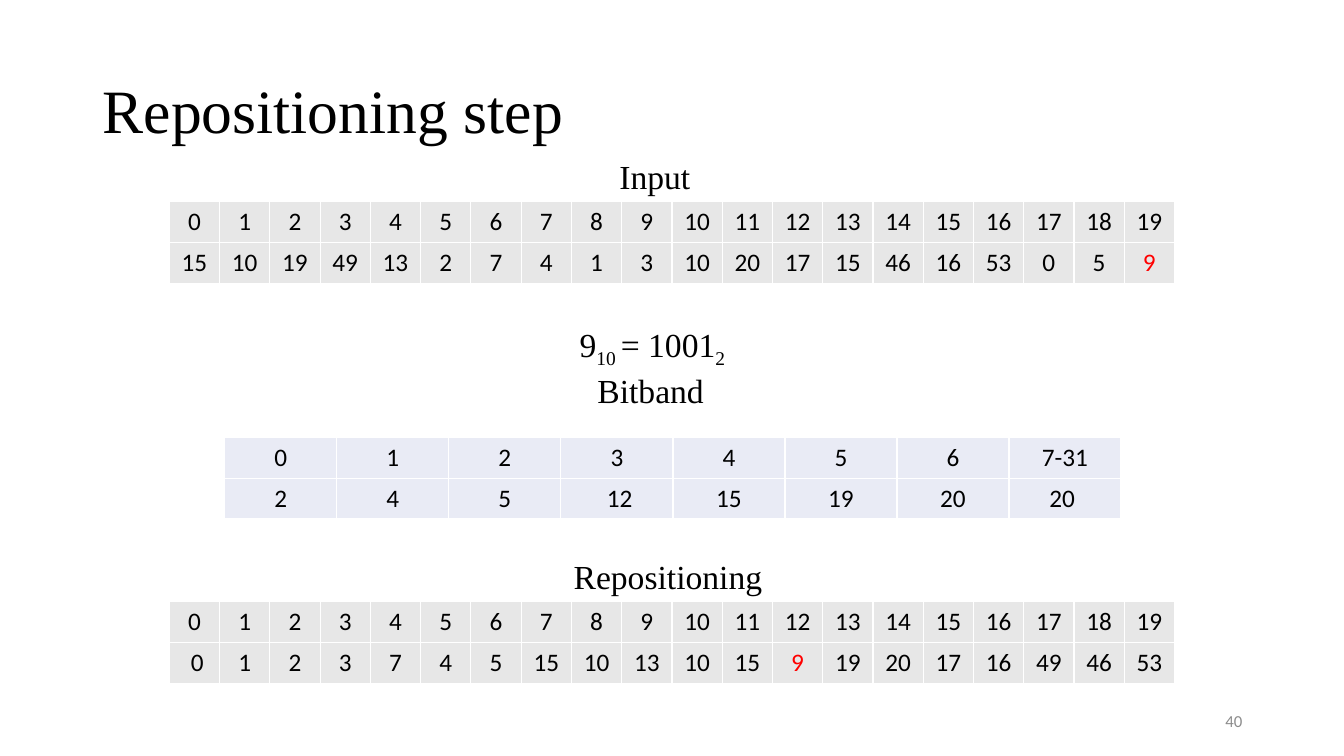
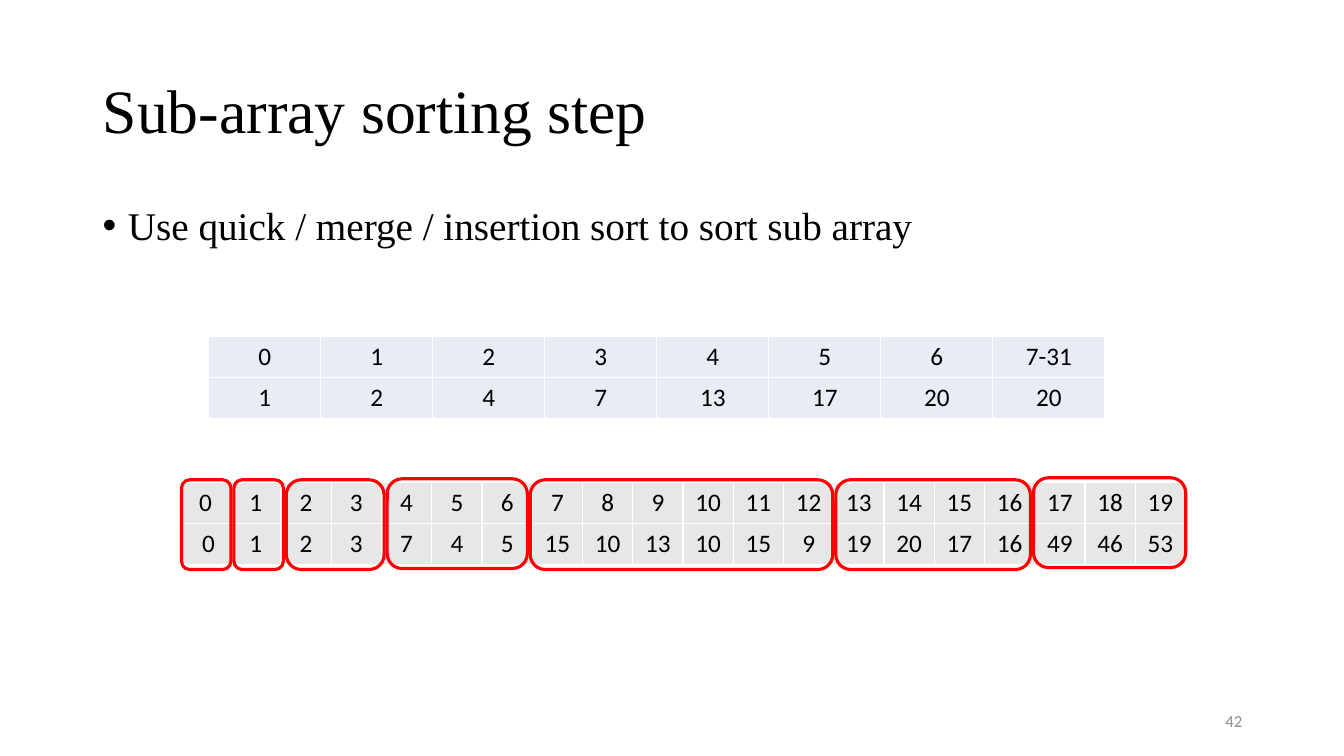
from lxml import etree
from pptx import Presentation
from pptx import util as u
from pptx.dml.color import RGBColor
from pptx.enum import shapes, text
from pptx.oxml import ns

COLORS = {
    "text": "000000",
    "accent": "FF0000",
    "array": "E7E7E7",
    "bitband": "E9EBF5",
    "border": "FFFFFF",
    "number": "8C8C8C",
}
SERIF, SANS = "Times New Roman", "Calibri"
LEFT, CENTER, RIGHT = text.PP_ALIGN.LEFT, text.PP_ALIGN.CENTER, text.PP_ALIGN.RIGHT
MIDDLE = text.MSO_ANCHOR.MIDDLE

INDEXES = list(range(20))
INPUT = [15, 10, 19, 49, 13, 2, 7, 4, 1, 3, 10, 20, 17, 15, 46, 16, 53, 0, 5, 9]
REPOSITIONED = [" 0", 1, 2, 3, 7, 4, 5, 15, 10, 13, 10, 15, 9, 19, 20, 17, 16, 49, 46, 53]
BANDS = [0, 1, 2, 3, 4, 5, 6, "7-31"]


def color(name):
    return RGBColor.from_string(COLORS[name])


def apply(target, values):
    for name, value in values.items():
        setattr(target, name, value)


class Deck:
    def __init__(self):
        self.prs = Presentation()
        apply(self.prs, {"slide_width": u.Inches(13.33), "slide_height": u.Inches(7.5)})
        self.s = None

    def slide(self, title, number):
        self.s = self.prs.slides.add_slide(self.prs.slide_layouts[5])
        sp = self.s.shapes.title
        apply(sp, {"left": u.Inches(0.92), "top": u.Inches(0.4),
                   "width": u.Inches(11.5), "height": u.Inches(1.45)})
        tf = sp.text_frame
        apply(tf, {"vertical_anchor": MIDDLE, "word_wrap": True,
                   "auto_size": text.MSO_AUTO_SIZE.NONE})
        p = tf.paragraphs[0]
        apply(p, {"alignment": LEFT, "line_spacing": 0.9})
        self.run(p, title, 44)
        self.label(str(number), 9.42, 6.95, 3, 0.4, size=12, font=SANS,
                   fill="number", align=RIGHT, anchor=MIDDLE)

    def run(self, p, words, size, font=SERIF, fill="text", baseline=None):
        r = p.add_run()
        r.text = words
        apply(r.font, {"size": u.Pt(size), "name": font})
        r.font.color.rgb = color(fill)
        if baseline is not None:
            r.font._element.set("baseline", str(baseline))

    def box(self, left, top, width, height, align, anchor, wrap=True):
        sp = self.s.shapes.add_textbox(*map(u.Inches, (left, top, width, height)))
        tf = sp.text_frame
        apply(tf, {"word_wrap": wrap, "vertical_anchor": anchor})
        p = tf.paragraphs[0]
        p.alignment = align
        return p

    def label(self, words, left, top, width, height=0.5, size=24, font=SERIF,
              fill="text", align=CENTER, anchor=text.MSO_ANCHOR.TOP):
        self.run(self.box(left, top, width, height, align, anchor), words, size, font, fill)

    def formula(self, parts, left, top, width, height=0.5):
        p = self.box(left, top, width, height, CENTER, text.MSO_ANCHOR.TOP, wrap=False)
        for words, baseline in parts:
            self.run(p, words, 24, baseline=baseline)

    def bullet(self, words, left, top, width, height):
        p = self.box(left, top, width, height, LEFT, text.MSO_ANCHOR.TOP)
        p.line_spacing = 0.9
        pPr = p._p.get_or_add_pPr()
        indent = u.Inches(0.25)
        pPr.set("marL", str(indent))
        pPr.set("indent", str(-indent))
        etree.SubElement(pPr, ns.qn("a:buFont")).set("typeface", "Arial")
        etree.SubElement(pPr, ns.qn("a:buChar")).set("char", "•")
        self.run(p, words, 28)

    def table(self, rows, left, top, width, fill, marked=None):
        frame = self.s.shapes.add_table(len(rows), len(rows[0]), *map(
            u.Inches, (left, top, width, 0.81)))
        apply(frame.table, {"first_row": False, "horz_banding": False})
        for i, row in enumerate(rows):
            for j, value in enumerate(row):
                cell = frame.table.cell(i, j)
                self.borders(cell)
                cell.fill.solid()
                cell.fill.fore_color.rgb = color(fill)
                p = cell.text_frame.paragraphs[0]
                p.alignment = CENTER
                ink = "accent" if (i, j) == marked else "text"
                self.run(p, str(value), 18, SANS, ink)

    def borders(self, cell):
        tcPr = cell._tc.get_or_add_tcPr()
        for side in ("lnL", "lnR", "lnT", "lnB"):
            ln = etree.SubElement(tcPr, ns.qn("a:" + side), w=str(u.Pt(1)))
            solid = etree.SubElement(ln, ns.qn("a:solidFill"))
            etree.SubElement(solid, ns.qn("a:srgbClr"), val=COLORS["border"])

    def outline(self, left, top, width, height):
        sp = self.s.shapes.add_shape(shapes.MSO_SHAPE.ROUNDED_RECTANGLE, *map(
            u.Inches, (left, top, width, height)))
        sp.shadow.inherit = False
        sp.fill.background()
        sp.line.color.rgb = color("accent")
        sp.line.width = u.Pt(2.25)


def repositioning(deck):
    deck.slide("Repositioning step", 40)
    deck.label("Input", 5.51, 1.5, 1.97)
    deck.table([INDEXES, INPUT], 1.68, 2, 9.97, "array", marked=(1, 19))
    deck.formula([("9", None), ("10 ", -25000), ("= 1001", None), ("2 ", -25000)],
                 5.61, 3.16, 1.77)
    deck.label("Bitband ", 5.51, 3.62, 1.97)
    deck.table([BANDS, [2, 4, 5, " 12", 15, 19, 20, "20 "]], 2.23, 4.34, 8.89, "bitband")
    deck.label("Repositioning", 5.51, 5.47, 2.23)
    deck.table([INDEXES, REPOSITIONED], 1.68, 5.97, 9.97, "array", marked=(1, 12))


def sorting(deck):
    deck.slide("Sub-array sorting step", 42)
    deck.bullet("Use quick / merge / insertion sort to sort sub array", 0.92, 2, 11.5, 0.6)
    deck.table([BANDS, [1, 2, 4, 7, 13, 17, 20, 20]], 2.07, 3.34, 8.89, "bitband")
    deck.table([INDEXES, REPOSITIONED], 1.79, 4.79, 9.97, "array")
    left, gap = 1.8, 0.03
    for width, top in ((0.49, 4.76), (0.49, 4.76), (0.97, 4.76), (1.39, 4.75),
                       (3, 4.76), (1.93, 4.76), (1.51, 4.74)):
        deck.outline(left, top, width, 0.89)
        left += width + gap


def main():
    deck = Deck()
    repositioning(deck)
    sorting(deck)
    deck.prs.save("out.pptx")


if __name__ == "__main__":
    main()
